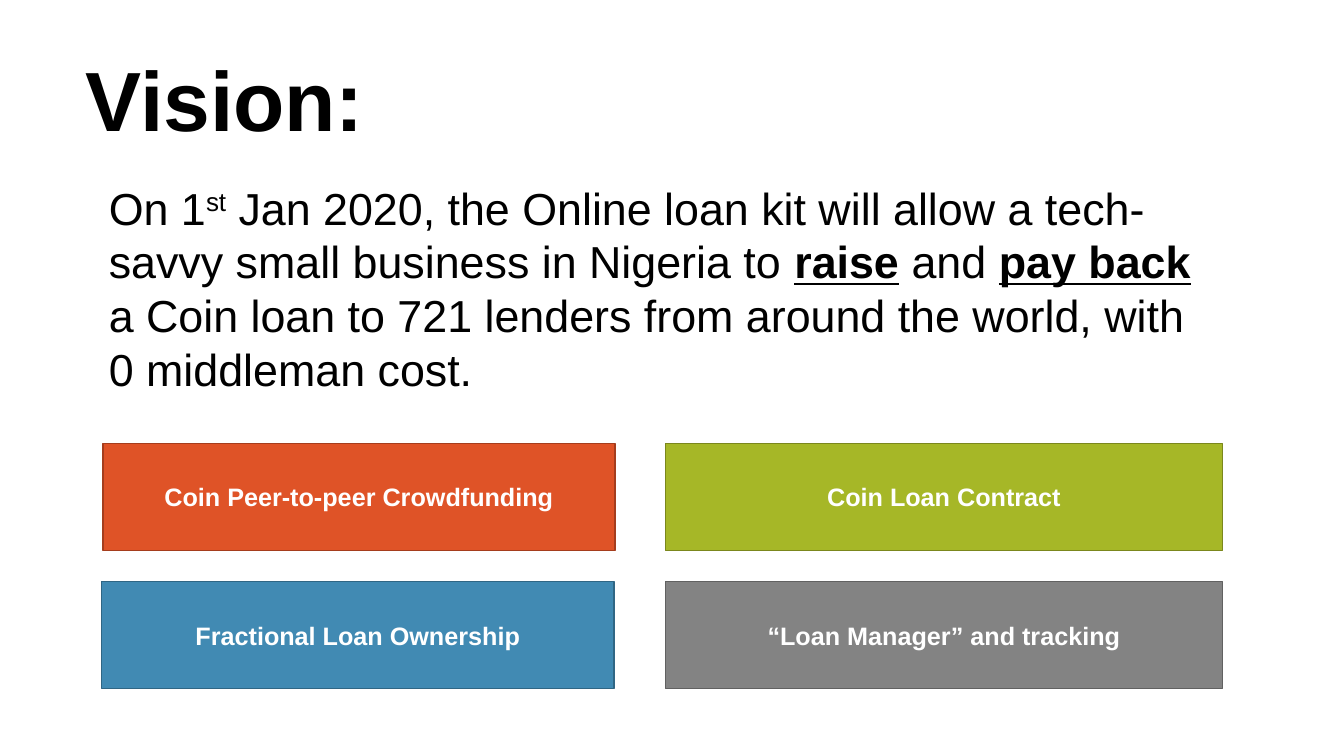
"""Build the Vision slide: a headline, a statement and four feature cards."""
from dataclasses import dataclass, field

from pptx import Presentation
from pptx import util as u
from pptx.dml.color import RGBColor
from pptx.enum import shapes, text

BLACK = RGBColor(0x00, 0x00, 0x00)
WHITE = RGBColor(0xFF, 0xFF, 0xFF)
ORANGE, ORANGE_EDGE = RGBColor(0xDF, 0x53, 0x27), RGBColor(0xA5, 0x3D, 0x1D)
GREEN, GREEN_EDGE = RGBColor(0xA6, 0xB7, 0x27), RGBColor(0x7B, 0x87, 0x1D)
BLUE, BLUE_EDGE = RGBColor(0x41, 0x8A, 0xB3), RGBColor(0x30, 0x66, 0x84)
GRAY, GRAY_EDGE = RGBColor(0x83, 0x83, 0x83), RGBColor(0x61, 0x61, 0x61)

TOP_ROW, BOTTOM_ROW = 316.8, 415.4
LEFT_WIDTH, RIGHT_WIDTH = 365.8, 398.2
RIGHT_COLUMN = 475.2
CARD_HEIGHT = 76.3
STRESSED = {"bold": True, "underline": True}


@dataclass
class Phrase:
    wording: str
    formats: dict = field(default_factory=dict)
    superscript: bool = False


@dataclass
class Card:
    label: str
    left: float
    top: float
    width: float
    fill: RGBColor
    edge: RGBColor


STATEMENT = [
    Phrase("On 1"),
    Phrase("st", superscript=True),
    Phrase(" Jan 2020, the Online loan kit will allow a tech-savvy "
           "small business in Nigeria to "),
    Phrase("raise", STRESSED),
    Phrase(" and "),
    Phrase("pay back", STRESSED),
    Phrase(" a Coin loan to 721 lenders from around the world, "
           "with 0 middleman cost."),
]

CARDS = [
    Card("Coin Peer-to-peer Crowdfunding", 73.5, TOP_ROW, LEFT_WIDTH, ORANGE, ORANGE_EDGE),
    Card("Coin Loan Contract", RIGHT_COLUMN, TOP_ROW, RIGHT_WIDTH, GREEN, GREEN_EDGE),
    Card("Fractional Loan Ownership", 72.7, BOTTOM_ROW, LEFT_WIDTH, BLUE, BLUE_EDGE),
    Card("“Loan Manager” and tracking", RIGHT_COLUMN, BOTTOM_ROW, RIGHT_WIDTH, GRAY, GRAY_EDGE),
]


def add_phrase(paragraph, phrase: Phrase, size: float, color: RGBColor) -> None:
    run = paragraph.add_run()
    run.text = phrase.wording
    formats = {"name": "Arial", "size": u.Pt(size), **phrase.formats}
    for attribute, value in formats.items():
        setattr(run.font, attribute, value)
    run.font.color.rgb = color
    if phrase.superscript:
        run.font._element.set("baseline", "30000")


def add_passage(slide, left: float, top: float, width: float, height: float,
                phrases: list[Phrase], size: float):
    passage = slide.shapes.add_textbox(*map(u.Pt, (left, top, width, height)))
    passage.text_frame.word_wrap = True
    for phrase in phrases:
        add_phrase(passage.text_frame.paragraphs[0], phrase, size, BLACK)
    return passage.text_frame


def add_card(slide, card: Card) -> None:
    panel = slide.shapes.add_shape(
        shapes.MSO_SHAPE.RECTANGLE,
        *map(u.Pt, (card.left, card.top, card.width, CARD_HEIGHT)))
    panel.shadow.inherit = False
    panel.fill.solid()
    panel.fill.fore_color.rgb = card.fill
    panel.line.color.rgb = card.edge
    panel.line.width = u.Pt(1)
    panel.text_frame.word_wrap = True
    panel.text_frame.vertical_anchor = text.MSO_ANCHOR.MIDDLE
    label = panel.text_frame.paragraphs[0]
    label.alignment = text.PP_ALIGN.CENTER
    add_phrase(label, Phrase(card.label, {"bold": True}), 18, WHITE)


def main() -> None:
    deck = Presentation()
    deck.slide_width, deck.slide_height = u.Pt(960), u.Pt(540)
    slide = deck.slides.add_slide(deck.slide_layouts[6])
    headline = add_passage(slide, 54, 34.6, 682.6, 143.3,
                           [Phrase("Vision:", {"bold": True})], 60)
    headline.margin_top = u.Pt(7.2)
    headline.paragraphs[0].line_spacing = 0.9
    add_passage(slide, 70.6, 125.3, 802.8, 162.7, STATEMENT, 32)
    for card in CARDS:
        add_card(slide, card)
    deck.save("out.pptx")


if __name__ == "__main__":
    main()
